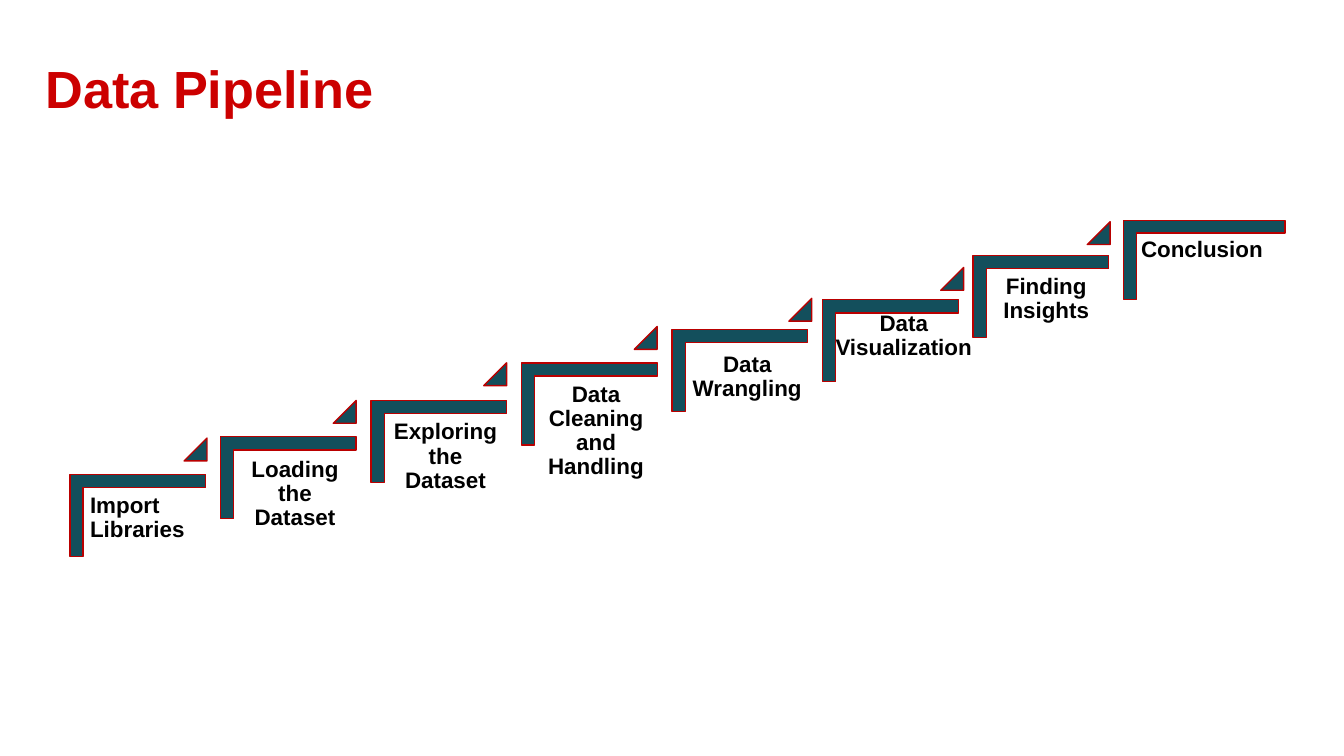
"""Build the Data Pipeline slide: eight labelled steps rising to the right."""
from dataclasses import dataclass

from pptx import Presentation
from pptx.dml.color import RGBColor
from pptx.enum.shapes import MSO_SHAPE
from pptx.enum.text import MSO_ANCHOR, PP_ALIGN
from pptx.util import Inches, Pt

COLORS = {"title": "CC0000", "step": "134F5C", "edge": "B90000", "label": "000000"}
FIRST_LEFT, STEP_PITCH = 0.52, 1.12
ARROW_SIZE = 0.17
TITLE_FONT = {"name": "Arial", "size": Pt(28), "bold": True}
LABEL_FONT = {"name": "Arial", "size": Pt(12), "bold": True}
TITLE_PARA = {"alignment": PP_ALIGN.LEFT}
LEFT_PARA = {"alignment": PP_ALIGN.LEFT, "line_spacing": 0.9}
CENTER_PARA = {"alignment": PP_ALIGN.CENTER, "line_spacing": 0.9}


@dataclass
class Step:
    label: str
    top: float
    label_box: tuple[float, float, float, float]
    arrow: tuple[float, float] | None
    para: dict
    width: float = 1.01
    height: float = 0.61


STEPS = [
    Step("Import Libraries", 3.53, (0.62, 3.63, 0.91, 0.8), (1.37, 3.26), LEFT_PARA),
    Step("Loading the Dataset", 3.25, (1.74, 3.36, 0.91, 0.8), (2.48, 2.98), CENTER_PARA),
    Step("Exploring the Dataset", 2.98, (2.86, 3.08, 0.91, 0.8), (3.6, 2.7), CENTER_PARA),
    Step("Data Cleaning and Handling", 2.7, (3.98, 2.8, 0.91, 0.8), (4.72, 2.43), CENTER_PARA),
    Step("Data Wrangling", 2.45, (5, 2.58, 1.12, 0.75), (5.87, 2.22), CENTER_PARA),
    Step("Data Visualization", 2.23, (6.11, 2.27, 1.23, 0.8), (7, 1.99), CENTER_PARA),
    Step("Finding Insights", 1.9, (7.33, 2, 0.91, 0.8), (8.09, 1.65), CENTER_PARA),
    Step("Conclusion", 1.64, (8.44, 1.72, 1.17, 0.8), None, LEFT_PARA, 1.2, 0.59),
]


def apply_format(target, values: dict) -> None:
    for name, value in values.items():
        setattr(target, name, value)


def add_text(page, text: str, at: tuple, inset: float, color: str, font: dict, para_format: dict) -> None:
    box = page.shapes.add_textbox(*map(Inches, at))
    margins = {f"margin_{side}": Inches(inset) for side in ("left", "top", "right", "bottom")}
    apply_format(box.text_frame, {"word_wrap": True, "vertical_anchor": MSO_ANCHOR.TOP, **margins})
    para = box.text_frame.paragraphs[0]
    apply_format(para, para_format)
    span = para.add_run()
    span.text = text
    apply_format(span.font, font)
    span.font.color.rgb = RGBColor.from_string(COLORS[color])


def add_figure(page, kind: MSO_SHAPE, at: tuple, adjustments: list[float], rotation: float = 0) -> None:
    figure = page.shapes.add_shape(kind, *map(Inches, at))
    figure.rotation = rotation
    figure.shadow.inherit = False
    for index, value in enumerate(adjustments):
        figure.adjustments[index] = value
    figure.fill.solid()
    figure.fill.fore_color.rgb = RGBColor.from_string(COLORS["step"])
    figure.line.color.rgb = RGBColor.from_string(COLORS["edge"])
    figure.line.width = Pt(0.75)


def add_step(page, index: int, step: Step) -> None:
    turn_shift = (step.width - step.height) / 2
    left = FIRST_LEFT + index * STEP_PITCH + turn_shift
    corner_at = (left, step.top - turn_shift, step.height, step.width)
    add_figure(page, MSO_SHAPE.CORNER, corner_at, [0.161, 0.161], 90)
    add_text(page, step.label, step.label_box, 0.05, "label", LABEL_FONT, step.para)
    if step.arrow:
        arrow_at = (*step.arrow, ARROW_SIZE, ARROW_SIZE)
        add_figure(page, MSO_SHAPE.ISOSCELES_TRIANGLE, arrow_at, [1])


def main() -> None:
    deck = Presentation()
    apply_format(deck, {"slide_width": Inches(10), "slide_height": Inches(10 * 9 / 16)})
    page = deck.slides.add_slide(deck.slide_layouts[6])
    add_text(page, "Data Pipeline", (0.24, 0.32, 9.76, 5.03), 0.1, "title", TITLE_FONT, TITLE_PARA)
    for index, step in enumerate(STEPS):
        add_step(page, index, step)
    deck.save("out.pptx")


main()
